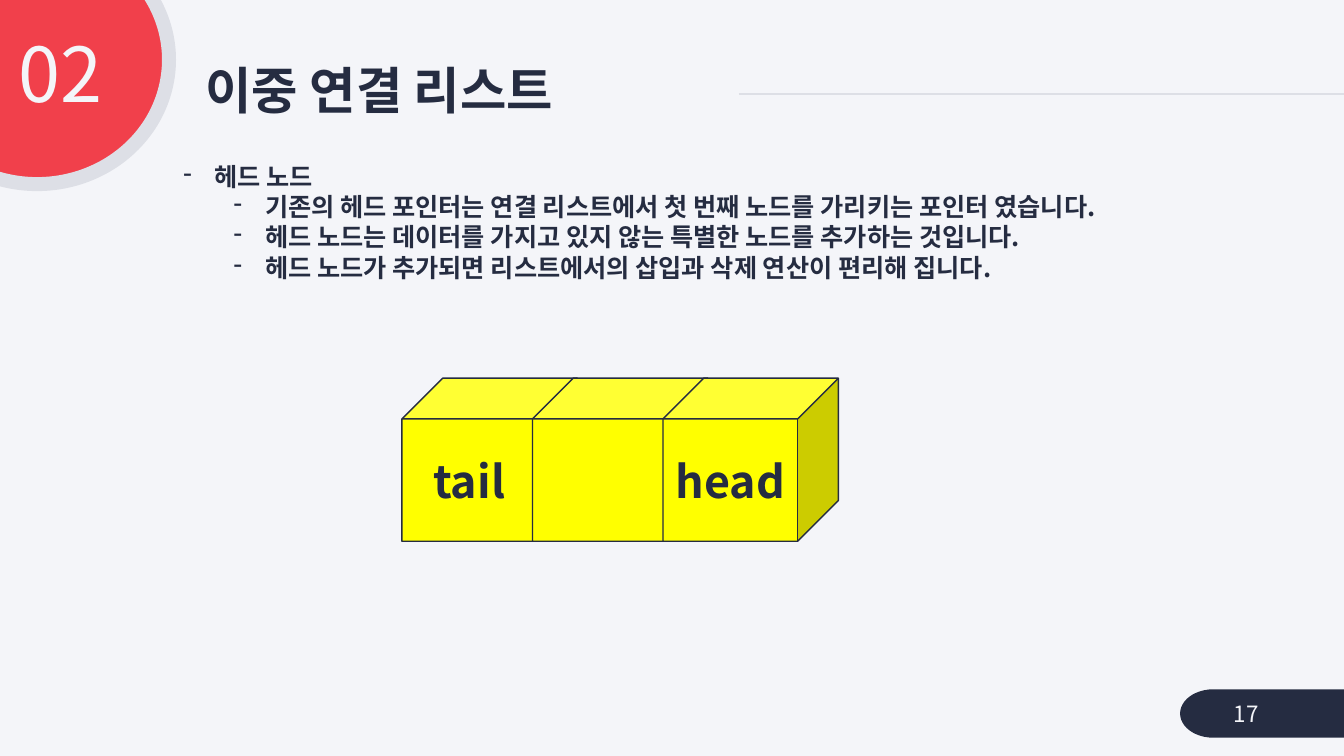
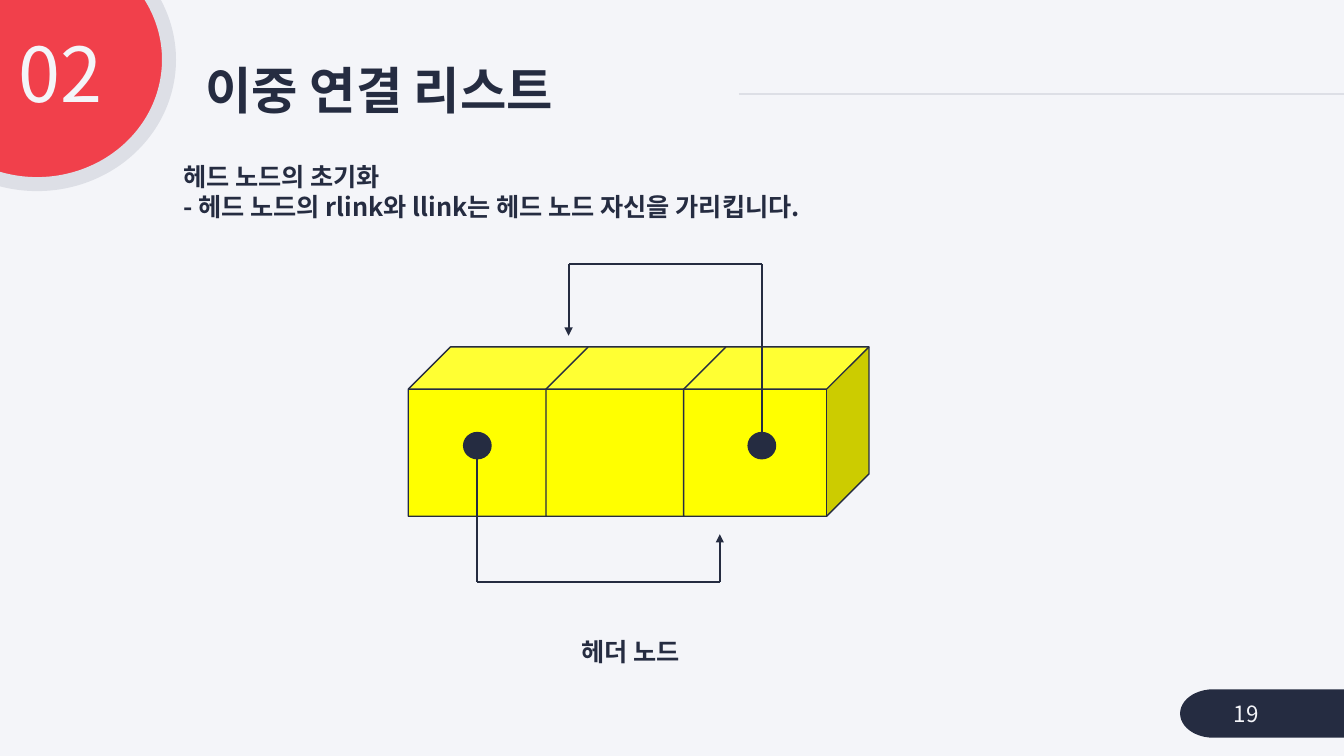
import pptx
import pptx.util
import pptx.dml.color
import pptx.enum.shapes
import pptx.enum.text
import pptx.oxml.ns
import lxml.etree

Cm = pptx.util.Cm
Pt = pptx.util.Pt
Kind = pptx.enum.shapes.MSO_SHAPE
Align = pptx.enum.text.PP_ALIGN
Anchor = pptx.enum.text.MSO_ANCHOR
qn = pptx.oxml.ns.qn

FONT = "Noto Sans CJK KR"
HUES = {
    "paper": "F4F5F9",
    "ink": "252C41",
    "rule": "DDDFE6",
    "red": "F1404B",
    "cube": "FFFF00",
}
WIDE, HIGH = 33.87, 19.05


def hue(name):
    return pptx.dml.color.RGBColor.from_string(HUES[name])


def style(para, size, color="ink", bold=True, align=None):
    font = para.font
    font.size, font.bold, font.name = Pt(size), bold, FONT
    font.color.rgb = hue(color)
    props = para._p.get_or_add_pPr()
    asian = lxml.etree.SubElement(props.find(qn("a:defRPr")), qn("a:ea"))
    asian.set("typeface", FONT)
    para.alignment = align


def dash(para, left, hang):
    props = para._p.get_or_add_pPr()
    props.set("marL", str(Cm(left)))
    props.set("indent", str(-Cm(hang)))
    mark = lxml.etree.Element(qn("a:buChar"))
    mark.set("char", "-")
    props.insert(0, mark)


def write(slide, box, lines, size, color="ink", bold=True, align=None,
          anchor=Anchor.TOP):
    frame = slide.shapes.add_textbox(*map(Cm, box)).text_frame
    frame.word_wrap = True
    frame.vertical_anchor = anchor
    frame.text = "\n".join(lines)
    for para in frame.paragraphs:
        style(para, size, color, bold, align)
    return frame.paragraphs


def draw(slide, kind, box, fill, edge=None, width=1):
    shape = slide.shapes.add_shape(kind, *map(Cm, box))
    shape.shadow.inherit = False
    shape.fill.solid()
    shape.fill.fore_color.rgb = hue(fill)
    if edge:
        shape.line.color.rgb = hue(edge)
        shape.line.width = Pt(width)
    else:
        shape.line.fill.background()
    return shape


def line(slide, start, end, color="ink", arrow=False):
    link = slide.shapes.add_connector(
        pptx.enum.shapes.MSO_CONNECTOR.STRAIGHT, *map(Cm, start + end))
    link.line.color.rgb = hue(color)
    link.line.width = Pt(1.5)
    props = link._element.spPr
    if arrow:
        head = lxml.etree.SubElement(props.find(qn("a:ln")), qn("a:tailEnd"))
        head.set("type", "triangle")
    lxml.etree.SubElement(props, qn("a:effectLst"))


def route(slide, points):
    last = len(points) - 2
    for i, (start, end) in enumerate(zip(points, points[1:])):
        line(slide, start, end, arrow=i == last)


def base(deck, page):
    slide = deck.slides.add_slide(deck.slide_layouts[6])
    back = slide.background.fill
    back.solid()
    back.fore_color.rgb = hue("paper")
    line(slide, (18.62, 2.36), (WIDE, 2.36), "rule")
    draw(slide, Kind.OVAL, (-2.39, -1.63, 6.65, 6.27), "red", "rule", 10)
    draw(slide, Kind.FLOWCHART_TERMINATOR, (29.74, 17.37, 5.21, 1.22), "ink")
    title = write(slide, (4.93, 1.5, 13.69, 1.7), ["이중 연결 리스트"], 36,
                  anchor=Anchor.MIDDLE)
    part = write(slide, (-0.28, 0.81, 3.1, 2.34), ["02"], 54, "paper", False,
                 Align.RIGHT)
    for para in (title[0], part[0]):
        para.line_spacing = 0.9
    write(slide, (30.84, 17.48, 2.77, 1.02), [str(page)], 16, "paper", False,
          anchor=Anchor.MIDDLE)
    return slide


def node(slide, box, step, labels):
    left, top, width, height = box
    for i, label in enumerate(labels):
        cube = draw(slide, Kind.CUBE, (left + i * step, top, width, height),
                    "cube", "ink")
        if label:
            frame = cube.text_frame
            frame.text = label
            frame.word_wrap = True
            frame.vertical_anchor = Anchor.MIDDLE
            style(frame.paragraphs[0], 32, align=Align.CENTER)


def loops(slide, box):
    left, top, width, height = box
    wide, high = 0.69, 0.66
    low, right = left + 1.74, left + 8.91
    mid = top + 2.49
    for x in (low, right):
        draw(slide, Kind.OVAL, (x - wide / 2, mid - high / 2, wide, high),
             "ink", "ink")
    over, under = top - 2.09, top + height + 1.65
    back, ahead = left + 4.04, left + 7.85
    route(slide, [(right, mid - high / 2), (right, over), (back, over),
                  (back, top - 0.28)])
    route(slide, [(low, mid + high / 2), (low, under), (ahead, under),
                  (ahead, top + height + 0.45)])


def intro(deck):
    slide = base(deck, 17)
    paras = write(slide, (4.37, 3.94, 25.4, 4.11), [
        "헤드 노드",
        "기존의 헤드 포인터는 연결 리스트에서 첫 번째 노드를 가리키는 포인터 였습니다.",
        "헤드 노드는 데이터를 가지고 있지 않는 특별한 노드를 추가하는 것입니다.",
        "헤드 노드가 추가되면 리스트에서의 삽입과 삭제 연산이 편리해 집니다.",
    ], 18)
    for i, para in enumerate(paras):
        para.level = min(i, 1)
        dash(para, 0.79 + 1.27 * para.level, 0.79)
    node(slide, (10.13, 9.53, 4.42, 4.11), 3.29, ["tail", "", "head"])


def setup(deck):
    slide = base(deck, 19)
    write(slide, (4.37, 3.94, 16.54, 1.8), [
        "헤드 노드의 초기화",
        "- 헤드 노드의 rlink와 llink는 헤드 노드 자신을 가리킵니다.",
    ], 18)
    write(slide, (14.4, 15.9, 3.4, 1.02), ["헤더 노드"], 18)
    box = (10.29, 8.74, 4.67, 4.27)
    node(slide, box, 3.47, [""] * 3)
    loops(slide, box)


def main():
    deck = pptx.Presentation()
    deck.slide_width, deck.slide_height = Cm(WIDE), Cm(HIGH)
    intro(deck)
    setup(deck)
    deck.save("out.pptx")


if __name__ == "__main__":
    main()
